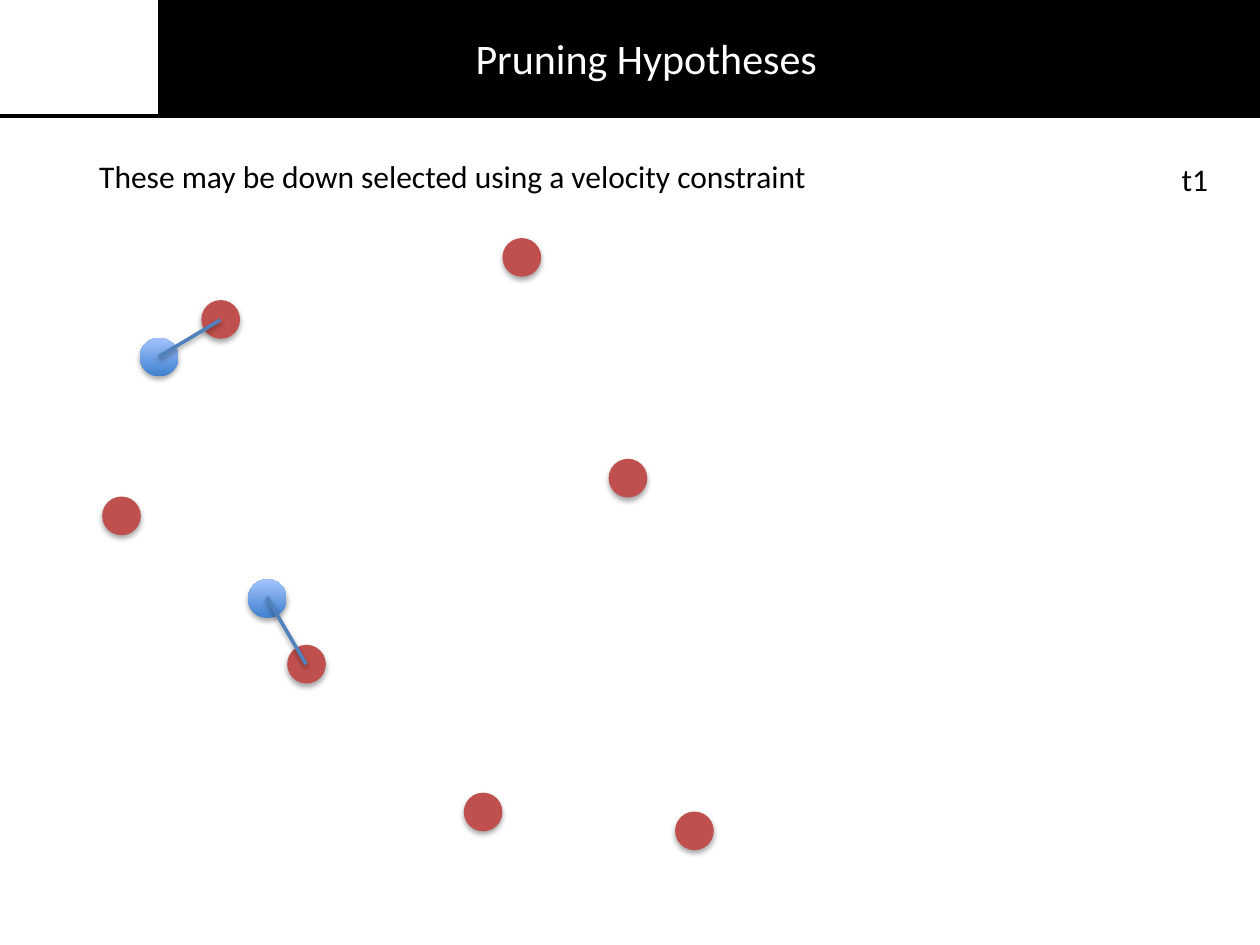
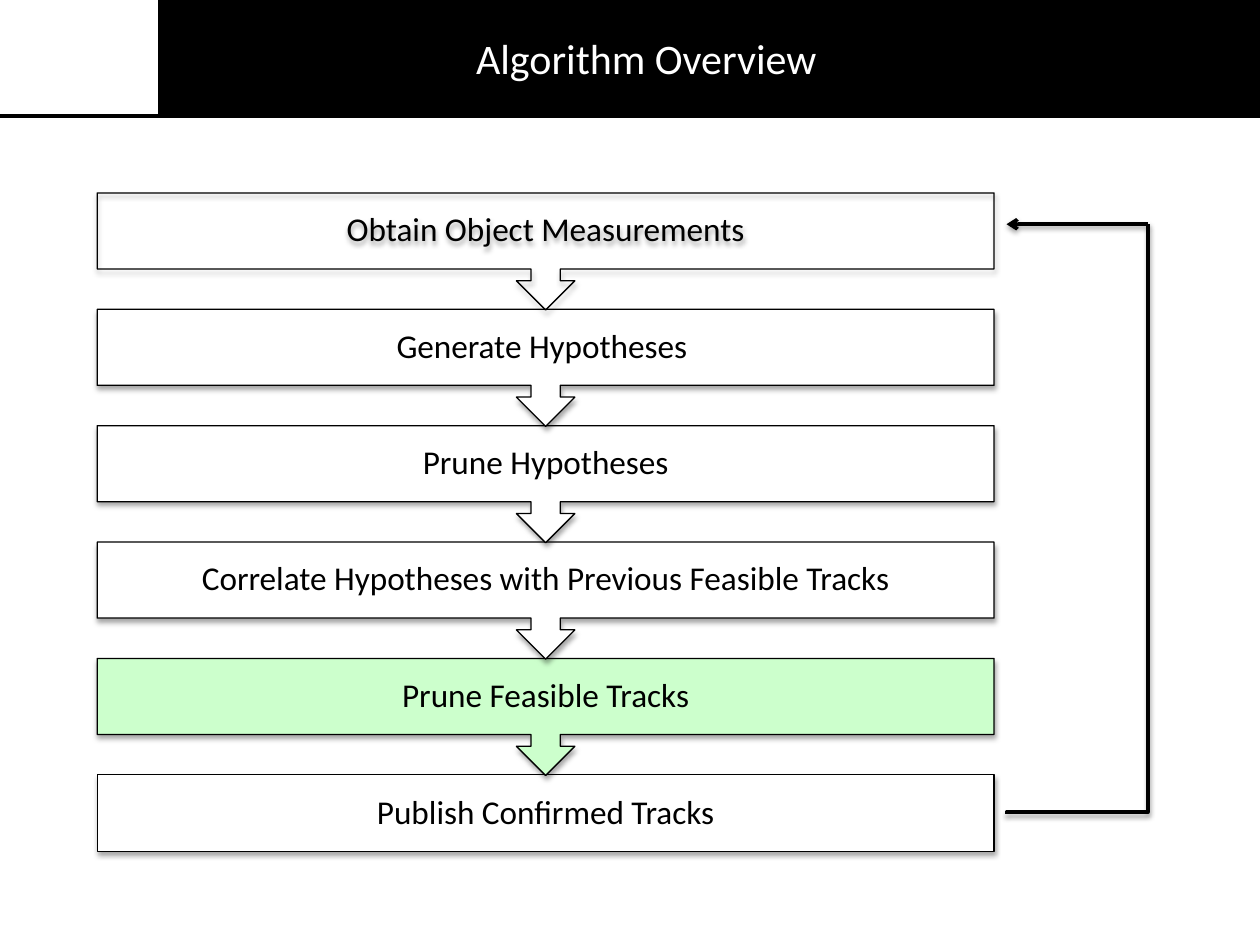
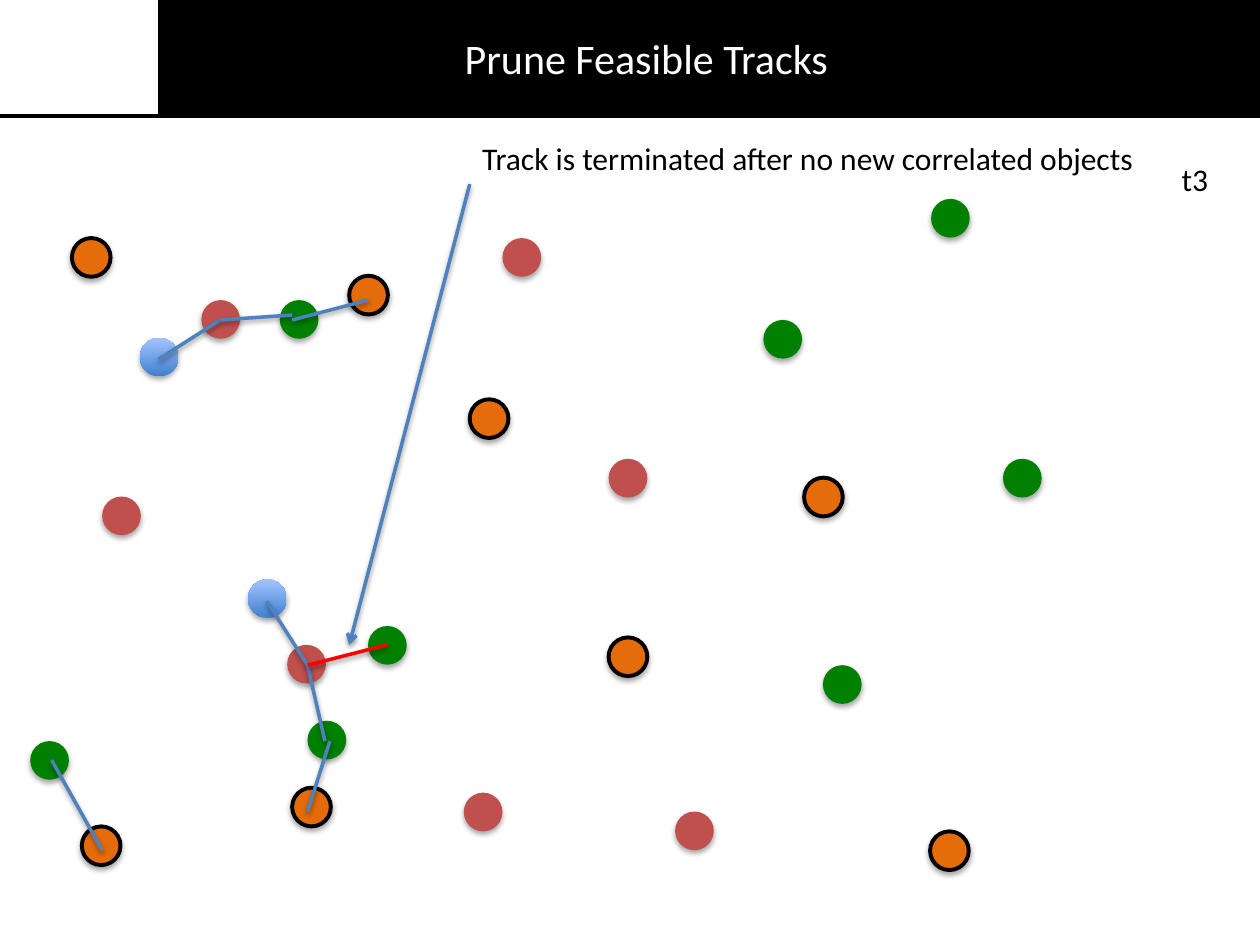
from dataclasses import dataclass

from lxml.etree import SubElement
from pptx import Presentation
from pptx.dml.color import RGBColor
from pptx.enum.shapes import MSO_CONNECTOR as Link, MSO_SHAPE as Preset
from pptx.enum.text import MSO_ANCHOR as Anchor, MSO_AUTO_SIZE as AutoSize, PP_ALIGN as Align
from pptx.oxml.ns import qn
from pptx.util import Cm, Pt

FONT = "Calibri"
BLACK, WHITE = "000000", "FFFFFF"
TRACK, ENDED = "4F81BD", "FF0000"
RED, GREEN, ORANGE = "C0504D", "008000", "E46C0A"
BLUE = ("3F80CE", "A4C4FF")
ACTIVE = "CCFFCC"
DOT_SIZE = 0.78


@dataclass
class Box:
    """A region of the page, in centimetres."""
    left: float
    top: float
    width: float
    height: float

    def lengths(self):
        return Cm(self.left), Cm(self.top), Cm(self.width), Cm(self.height)

    def inner(self, x, y, width, height):
        return Box(self.left + x, self.top + y, width, height)


BAND = Box(0, 0, 25.4, 2.34)
FIELD = Box(0, 2.3, 25.4, 16.75)
FLOW = Box(1.96, 3.89, 18.08, 13.28)

# Positions of the measured objects inside the field, by time step
FIRST_DOTS = [(2.82, 4.51), (5, 9.38)]
SECOND_DOTS = [(4.06, 3.75), (12.27, 6.95), (5.79, 10.7), (2.06, 7.71),
               (9.35, 13.68), (10.13, 2.5), (13.61, 14.06)]
THIRD_DOTS = [(7.42, 10.32), (18.77, 1.71), (20.22, 6.95), (0.61, 12.64),
              (15.39, 4.15), (16.59, 11.11), (5.64, 3.75), (6.2, 12.23)]
FOURTH_DOTS = [(5.89, 13.58), (1.45, 2.5), (1.65, 14.36), (7.04, 3.26),
               (16.21, 7.33), (9.47, 5.75), (18.75, 14.46), (12.27, 10.55)]

# Track segments inside the field: x and y of start, then of end
FIRST_TRACKS = [(3.2, 4.89, 4.44, 4.15), (5.38, 9.74, 6.17, 11.09)]
LATER_TRACKS = [(3.2, 4.94, 4.44, 4.15), (4.44, 4.15, 5.89, 4.05),
                (5.89, 4.15, 7.42, 3.75), (5.38, 9.82, 6.2, 11.11),
                (6.2, 11.11, 6.55, 12.64), (6.65, 12.64, 6.2, 14.06),
                (1.04, 13.02, 2.06, 14.84)]

STEPS = ["Obtain Object Measurements", "Generate Hypotheses ", "Prune Hypotheses",
         "Correlate Hypotheses with Previous Feasible Tracks",
         "Prune Feasible Tracks", "Publish Confirmed Tracks"]
STEP_FILLS = [None, WHITE, WHITE, WHITE, ACTIVE, WHITE]


def rgb(color):
    return RGBColor.from_string(color)


def add_shadow(item, opacity, distance):
    properties = item._element.spPr
    effects = properties.find(qn("a:effectLst"))
    if effects is None:
        effects = SubElement(properties, qn("a:effectLst"))
    shadow = SubElement(effects, qn("a:outerShdw"), blurRad=str(Pt(3.1)),
                        dist=str(Pt(distance)), dir="5400000", rotWithShape="0")
    color = SubElement(shadow, qn("a:srgbClr"), val=BLACK)
    SubElement(color, qn("a:alpha"), val=str(opacity * 1000))


def add_figure(page, preset, box, fill=None, line_width=0, shadowed=True):
    """Add a preset shape; a pair of colours makes a gradient rising from the first."""
    figure = page.shapes.add_shape(preset, *box.lengths())
    if fill is None:
        figure.fill.background()
    elif isinstance(fill, tuple):
        figure.fill.gradient()
        figure.fill.gradient_angle = 90
        for stop, color in zip(figure.fill.gradient_stops, fill):
            stop.color.rgb = rgb(color)
    else:
        figure.fill.solid()
        figure.fill.fore_color.rgb = rgb(fill)
    if line_width:
        figure.line.color.rgb = rgb(BLACK)
        figure.line.width = Pt(line_width)
    else:
        figure.line.fill.background()
    figure.shadow.inherit = False
    if shadowed:
        add_shadow(figure, 35, 1.8)
    return figure


def add_line(page, ends, color, kind=Link.STRAIGHT, arrow=False, shadowed=True):
    line = page.shapes.add_connector(kind, *(Cm(end) for end in ends))
    line.line.color.rgb = rgb(color)
    line.line.width = Pt(2)
    if arrow:
        SubElement(line.line._get_or_add_ln(), qn("a:tailEnd"), type="arrow")
    if shadowed:
        add_shadow(line, 38, 1.6)
    else:
        SubElement(line._element.spPr, qn("a:effectLst"))
    return line


def write(frame, text, size, color=BLACK, align=Align.LEFT):
    frame.text = text
    para = frame.paragraphs[0]
    para.alignment = align
    para.font.name = FONT
    para.font.size = Pt(size)
    para.font.color.rgb = rgb(color)
    return para


def add_label(page, box, text, wrap=False):
    frame = page.shapes.add_textbox(*box.lengths()).text_frame
    frame.word_wrap = wrap
    write(frame, text, 18)


def add_page(deck, title, band=BAND):
    """Add a title-only page with the black band behind its title."""
    page = deck.slides.add_slide(deck.slide_layouts[5])
    base = band.top + band.height
    add_line(page, (band.left, base, band.left + band.width, base), BLACK, shadowed=False)
    add_figure(page, Preset.RECTANGLE, band.inner(3.2, 0, band.width - 3.2, 2.31),
               BLACK, 0.75, shadowed=False)
    heading = page.shapes.title
    heading.left, heading.top, heading.width, heading.height = band.inner(
        3.33, 0.53, 19.4, 1.27).lengths()
    heading.text_frame.auto_size = AutoSize.NONE
    heading.text_frame.vertical_anchor = Anchor.MIDDLE
    write(heading.text_frame, title, 24, WHITE, Align.CENTER)
    page.shapes._spTree.append(heading._element)
    return page


def add_dots(page, field, places, fill, line_width=0):
    for x, y in places:
        add_figure(page, Preset.OVAL, field.inner(x, y, DOT_SIZE, DOT_SIZE), fill, line_width)


def add_track(page, field, segment, color=TRACK, arrow=False):
    x1, y1, x2, y2 = segment
    add_line(page, (field.left + x1, field.top + y1, field.left + x2, field.top + y2),
             color, arrow=arrow)


def add_field(page, field, time, dot_groups, tracks):
    """Draw the dots of each time step, the tracks between them and the time label."""
    for group in dot_groups:
        add_dots(page, field, *group)
    for segment in tracks:
        add_track(page, field, segment)
    add_label(page, field.inner(23.57, 0.8, 1.04, 1.02), time)


def add_flow(page, flow, steps, fills):
    """Stack the steps from the bottom up, so each arrow tip lies over the next step."""
    step_height = 1.55
    last = len(steps) - 1
    pitch = (flow.height - step_height) / last
    for row in range(last, -1, -1):
        preset, height = Preset.DOWN_ARROW_CALLOUT, 2.36
        if row == last:
            preset, height = Preset.RECTANGLE, step_height
        step = add_figure(page, preset, flow.inner(0, row * pitch, flow.width, height),
                          fills[row], 0.75)
        step.text_frame.word_wrap = True
        step.text_frame.vertical_anchor = Anchor.MIDDLE
        write(step.text_frame, steps[row], 19, align=Align.CENTER).line_spacing = 0.9


def add_feedback(page, flow):
    """Lead from the last step back to the first, right of the flow."""
    near, far = flow.left + flow.width + 0.25, flow.left + flow.width + 3.1
    top, length = flow.top + 0.63, 11.9
    add_line(page, (far, top, near, top), BLACK, arrow=True)

    # The elbow is laid out flat around its centre, then turned by a quarter
    middle_x, middle_y = (near + far) / 2, top + length / 2
    half_length, half_depth = length / 2, (far - near) / 2
    elbow = add_line(page, (middle_x - half_length, middle_y - half_depth,
                            middle_x + half_length, middle_y + half_depth),
                     BLACK, Link.ELBOW)
    properties = elbow._element.spPr
    properties.find(qn("a:xfrm")).set("rot", "5400000")
    guides = properties.find(qn("a:prstGeom")).find(qn("a:avLst"))
    SubElement(guides, qn("a:gd"), name="adj1", fmla="val 99600")


def main():
    deck = Presentation()
    deck.slide_width, deck.slide_height = Cm(25.4), Cm(19.05)
    early_dots = [(FIRST_DOTS, BLUE), (SECOND_DOTS, RED)]
    late_dots = [(THIRD_DOTS, GREEN), (FOURTH_DOTS, ORANGE, 2.25)]

    page = add_page(deck, "Pruning Hypotheses")
    add_field(page, FIELD, "t1", early_dots, FIRST_TRACKS)
    add_label(page, FIELD.inner(1.75, 0.75, 18.19, 1.02),
              "These may be down selected using a velocity constraint", wrap=True)

    page = add_page(deck, "Algorithm Overview")
    add_flow(page, FLOW, STEPS, STEP_FILLS)
    add_feedback(page, FLOW)

    page = add_page(deck, "Prune Feasible Tracks")
    add_field(page, FIELD, "t3", early_dots + late_dots, LATER_TRACKS)
    add_track(page, FIELD, (6.2, 11.11, 7.8, 10.7), ENDED)
    add_track(page, FIELD, (9.47, 1.41, 7.04, 10.7), arrow=True)
    add_label(page, FIELD.inner(9.47, 0.37, 13.79, 1.02),
              "Track is terminated after no new correlated objects")

    deck.save("out.pptx")


if __name__ == "__main__":
    main()
